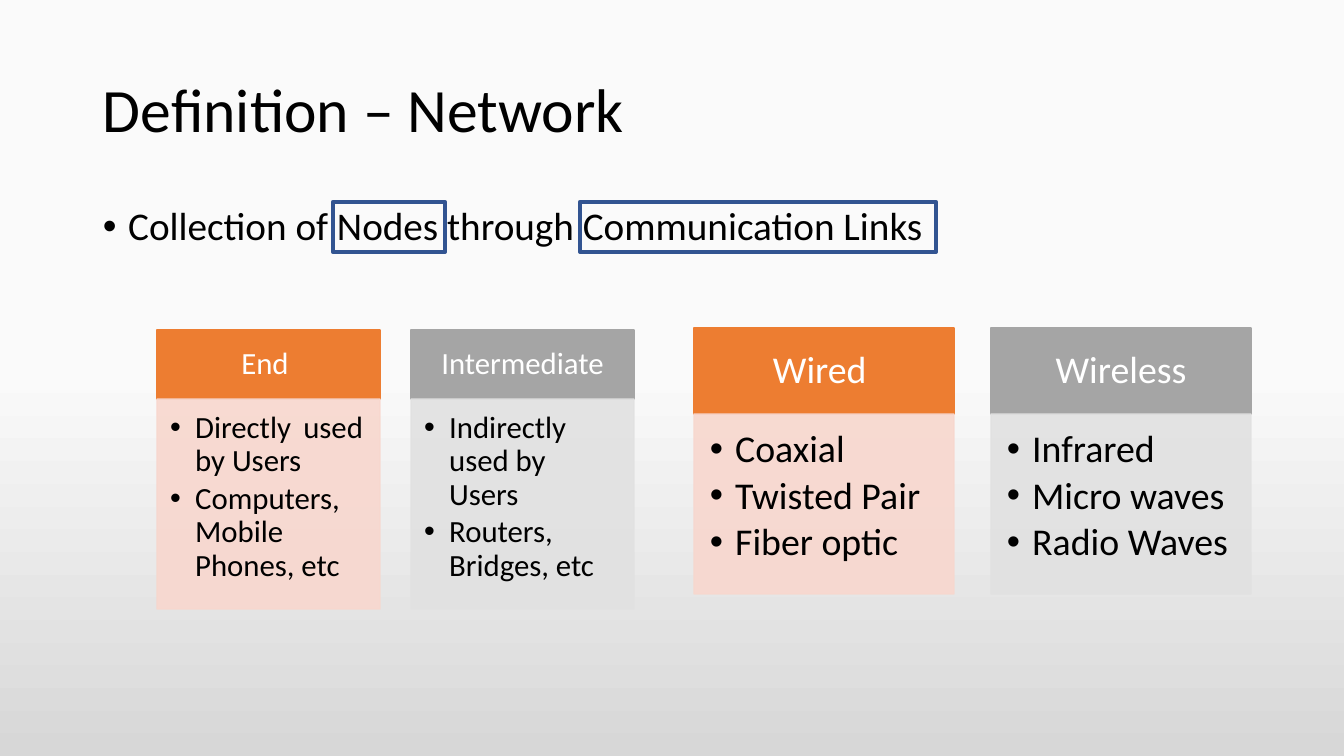
from lxml import etree
from pptx import Presentation, util as u
from pptx.dml.color import RGBColor
from pptx.enum import shapes, text
from pptx.oxml.ns import qn

BLACK = RGBColor(0x00, 0x00, 0x00)
WHITE = RGBColor(0xFF, 0xFF, 0xFF)
ORANGE = RGBColor(0xED, 0x7D, 0x31)
PEACH = RGBColor(0xF8, 0xD7, 0xCE)
GREY = RGBColor(0xA5, 0xA5, 0xA5)
SILVER = RGBColor(0xE1, 0xE1, 0xE1)
BLUE = RGBColor(0x32, 0x54, 0x91)
PALE = RGBColor(0xFA, 0xFA, 0xFA)
DUSK = RGBColor(0xD7, 0xD7, 0xD7)

FONT = "Calibri"
WIDE, HIGH = 1344, 756
SCALE = 12192000 / WIDE

# Content
TITLE = "Definition – Network"
LEAD = "Collection of Nodes through Communication Links"
MARKS = [(333, 112), (580, 356)]  # left, width of the framed words
MARK_TOP, MARK_HIGH = 202, 50

LEFT, JUST = text.PP_ALIGN.LEFT, text.PP_ALIGN.JUSTIFY
STYLES = [(ORANGE, PEACH, JUST), (GREY, SILVER, LEFT)]
# Margins run left, top, right, bottom
PAIRS = [
    dict(left=157, top=330, wide=223, step=254, head=69, body=210, size=22,
         pad=(17, 10, 17, 10), inset=(13, 13, 17, 19),
         cols=[("End ", ["Directly used by Users",
                         "Computers, Mobile Phones, etc"]),
               ("Intermediate", ["Indirectly used by Users",
                                 "Routers, Bridges, etc"])]),
    dict(left=694, top=328, wide=260, step=297, head=86, body=180, size=27,
         pad=(21, 12, 21, 12), inset=(16, 16, 21, 24),
         cols=[("Wired ", ["Coaxial", "Twisted Pair", "Fiber optic"]),
               ("Wireless", ["Infrared", "Micro waves", "Radio Waves"])]),
]


def px(*nums):
    return [u.Emu(round(n * SCALE)) for n in nums]


def bullet(para):
    props = para._p.get_or_add_pPr()
    indent = u.Inches(0.25)
    props.set("marL", str(indent))
    props.set("indent", str(-indent))
    etree.SubElement(props, qn("a:buFont")).set("typeface", "Arial")
    etree.SubElement(props, qn("a:buChar")).set("char", "•")


def write(frame, lines, size, color, align, anchor, pad, dots=False, after=0):
    frame.word_wrap = True
    frame.auto_size = text.MSO_AUTO_SIZE.NONE
    frame.vertical_anchor = anchor
    (frame.margin_left, frame.margin_top,
     frame.margin_right, frame.margin_bottom) = px(*pad)
    for i, line in enumerate(lines):
        para = frame.paragraphs[0] if i == 0 else frame.add_paragraph()
        para.alignment = align
        para.line_spacing = 0.9
        para.space_before = u.Pt(0)
        para.space_after = u.Pt(after)
        if dots:
            bullet(para)
        run = para.add_run()
        run.text = line
        run.font.name = FONT
        run.font.size = u.Pt(size)
        run.font.color.rgb = color


def block(home, box, fill, edge, weight, alpha=None):
    rect = home.add_shape(shapes.MSO_SHAPE.RECTANGLE, *px(*box))
    rect.shadow.inherit = False
    if fill is None:
        rect.fill.background()
    else:
        rect.fill.solid()
        rect.fill.fore_color.rgb = fill
    rect.line.color.rgb = edge
    rect.line.width = u.Pt(weight)
    if alpha:
        for tone in rect._element.spPr.iter(qn("a:srgbClr")):
            etree.SubElement(tone, qn("a:alpha")).set("val", str(alpha * 1000))
    return rect


def main():
    deck = Presentation()
    deck.slide_width, deck.slide_height = px(WIDE, HIGH)
    slide = deck.slides.add_slide(deck.slide_layouts[5])
    top, mid = text.MSO_ANCHOR.TOP, text.MSO_ANCHOR.MIDDLE

    # Background
    back = slide.background.fill
    back.gradient()
    back.gradient_angle = 270
    for stop, (place, color) in zip(back.gradient_stops,
                                    [(0.49, PALE), (1, DUSK)]):
        stop.position = place
        stop.color.rgb = color

    # Title and lead line
    title = slide.shapes.title
    title.left, title.top, title.width, title.height = px(93, 40, 1159, 146)
    write(title.text_frame, [TITLE], 44, BLACK, LEFT, mid, (10, 5, 10, 5))
    lead = slide.shapes.add_textbox(*px(93, 202, 1159, 480))
    write(lead.text_frame, [LEAD], 28, BLACK, LEFT, top, (10, 5, 10, 5), True)

    # Paired columns
    for pair in PAIRS:
        group = slide.shapes.add_group_shape().shapes
        wide, size = pair["wide"], pair["size"]
        for i, (name, items) in enumerate(pair["cols"]):
            dark, light, align = STYLES[i]
            x, y = pair["left"] + i * pair["step"], pair["top"]
            head = block(group, (x, y, wide, pair["head"]), dark, dark, 1)
            write(head.text_frame, [name], size, WHITE,
                  text.PP_ALIGN.CENTER, mid, pair["pad"])
            body = block(group, (x, y + pair["head"], wide, pair["body"]),
                         light, light, 1, 90)
            write(body.text_frame, items, size, BLACK, align, top,
                  pair["inset"], True, round(size * 0.15, 1))

    # Frames around the key words
    for x, wide in MARKS:
        block(slide.shapes, (x, MARK_TOP, wide, MARK_HIGH), None, BLUE, 3)

    deck.save("out.pptx")


if __name__ == "__main__":
    main()
